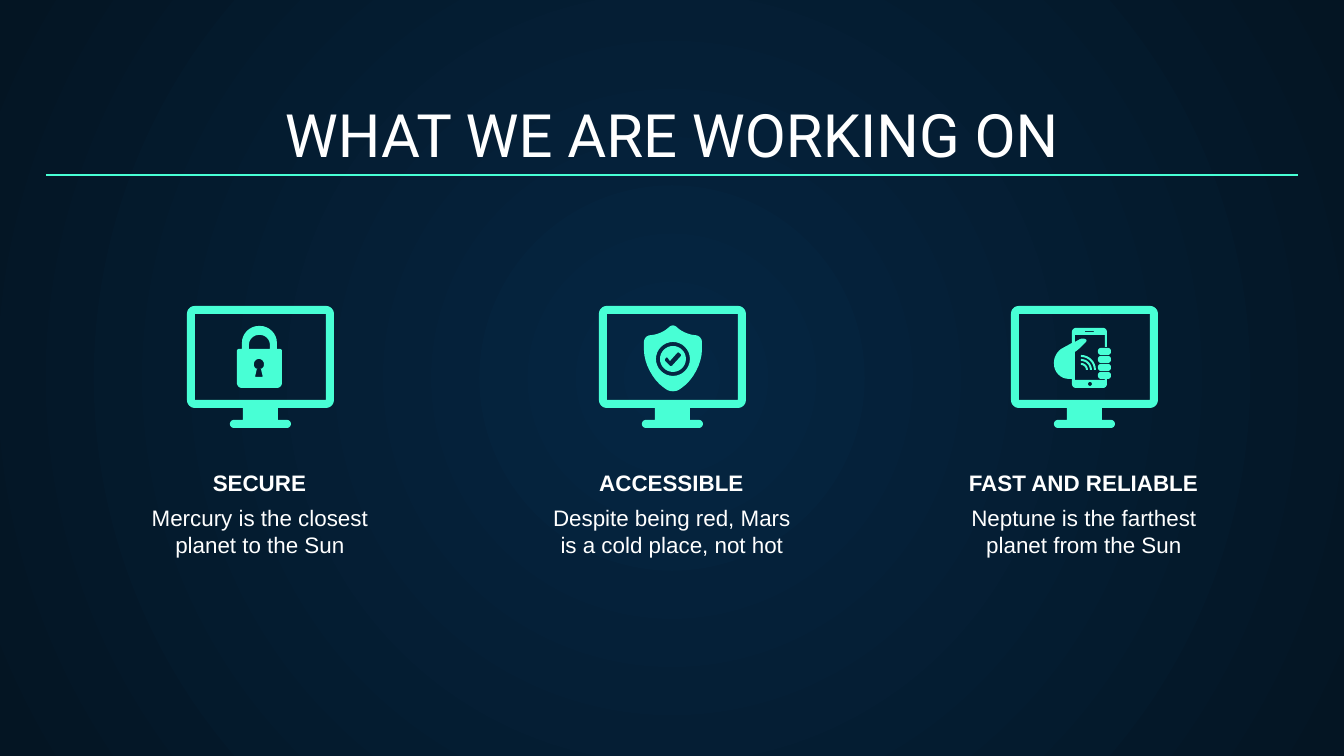
import math
from dataclasses import dataclass

from lxml import etree
from pptx import Presentation
from pptx.dml.color import RGBColor
from pptx.enum import shapes, text
from pptx.oxml.ns import qn

SCALE = 914400 * 10 / 1344  # EMU per px


@dataclass(frozen=True)
class Theme:
    glow: str = "052643"
    edge: str = "041523"
    accent: str = "48FFD5"
    ink: str = "FFFFFF"
    title_font: str = "Roboto"
    body_font: str = "Arial"
    title_size: int = 32
    body_size: int = 12
    rule_width: float = 0.75


THEME = Theme()


def emu(px):
    return round(px * SCALE)


def pt(points):
    return round(points * 12700)


# Outlines: each corner is (x, y, radius)
def rounded(corners):
    points = []
    for i, (x, y, radius) in enumerate(corners):
        if not radius:
            points.append((x, y))
            continue
        ends = []
        for nx, ny, _ in (corners[i - 1], corners[(i + 1) % len(corners)]):
            reach = radius / math.dist((x, y), (nx, ny))
            ends.append((x + (nx - x) * reach, y + (ny - y) * reach))
        (ax, ay), (bx, by) = ends
        for step in range(9):
            t = step / 8
            a = (1 - t) ** 3 + 3 * t * (1 - t) ** 2 * 0.45
            b = t ** 3 + 3 * t ** 2 * (1 - t) * 0.45
            c = 1 - a - b
            points.append((a * ax + b * bx + c * x, a * ay + b * by + c * y))
    return points


def block(x, y, w, h, radius=0):
    return [(x, y, radius), (x + w, y, radius), (x + w, y + h, radius), (x, y + h, radius)]


def disc(x, y, radius):
    return block(x - radius, y - radius, 2 * radius, 2 * radius, radius)


def wave(x, y, outer, inner):
    return [(x, y - outer, 0), (x + outer, y - outer, outer), (x + outer, y, 0),
            (x + inner, y, 0), (x + inner, y - inner, inner), (x, y - inner, 0)]


MONITOR = [
    [(0, 0, 8), (147, 0, 8), (147, 102, 8), (91, 102, 0), (91, 114, 0), (104, 114, 4),
     (104, 122, 4), (43, 122, 4), (43, 114, 4), (56, 114, 0), (56, 102, 0), (0, 102, 8)],
    block(8, 8, 131, 86),
]
PADLOCK = [
    [(50, 43, 2), (55, 43, 0), (55, 20, 17), (90, 20, 17), (90, 43, 0), (95, 43, 2),
     (95, 82, 5), (50, 82, 5)],
    [(62, 43, 0), (62, 29, 10), (83, 29, 10), (83, 43, 0)],
    [(67, 53, 5), (77, 53, 5), (77, 63, 4), (74, 63, 0), (76, 71, 1), (68, 71, 1),
     (70, 63, 0), (67, 63, 4)],
]
SHIELD = [
    [(74, 18, 4), (86, 28, 8), (103, 30, 6), (103, 68, 24), (74, 88, 8), (45, 68, 24),
     (45, 30, 6), (62, 28, 8)],
    disc(74, 53, 17),
]
CHECK_BADGE = [
    disc(74, 53, 13),
    [(65, 54, 2), (68, 51, 1), (71, 55, 0), (79, 46, 1), (83, 49, 2), (72, 61, 2)],
]
PHONE_IN_HAND = [
    # Frame with thumb and palm
    [(61, 22, 4), (96, 22, 4), (96, 41, 0), (94, 41, 0), (94, 29, 0), (64, 29, 0),
     (64, 36, 0), (71, 32, 3), (77, 34, 3), (68, 43, 2), (64, 46, 0), (64, 74, 0),
     (94, 74, 0), (94, 73, 0), (96, 73, 0), (96, 82, 4), (61, 82, 4), (61, 73, 0),
     (43, 73, 15), (43, 47, 9), (61, 37, 0)],
    block(74, 25, 9, 1),
    disc(79, 78, 2),
    *[block(87, 42 + 8 * i, 13, 7, 3) for i in range(4)],
    *[wave(70, 64, outer, outer - 2) for outer in (15, 11, 7)],
]

COLUMNS = [
    ("SECURE", "Mercury is the closest planet to the Sun", [PADLOCK]),
    ("ACCESSIBLE", "Despite being red, Mars is a cold place, not hot", [SHIELD, CHECK_BADGE]),
    ("FAST AND RELIABLE", "Neptune is the farthest planet from the Sun", [PHONE_IN_HAND]),
]


def add_icon(page, x, y, contours):
    builder = None
    for contour in contours:
        points = [(px * SCALE, py * SCALE) for px, py in rounded(contour)]
        if builder is None:
            builder = page.shapes.build_freeform(*points[0], scale=1.0)
        else:
            builder.move_to(*points[0])
        builder.add_line_segments(points[1:], close=True)
    icon = builder.convert_to_shape(emu(x), emu(y))
    icon.shadow.inherit = False
    icon.fill.solid()
    icon.fill.fore_color.rgb = RGBColor.from_string(THEME.accent)
    icon.line.fill.background()


def add_text(page, x, y, w, h, words, font, size, bold=False, anchor=text.MSO_ANCHOR.TOP):
    box = page.shapes.add_textbox(emu(x), emu(y), emu(w), emu(h))
    frame = box.text_frame
    frame.word_wrap = True
    frame.vertical_anchor = anchor
    frame.margin_left = frame.margin_right = 91440
    frame.margin_top = frame.margin_bottom = 91440
    para = frame.paragraphs[0]
    para.text = words
    para.alignment = text.PP_ALIGN.CENTER
    para.font.name = font
    para.font.size = pt(size)
    para.font.bold = bold
    para.font.color.rgb = RGBColor.from_string(THEME.ink)


def paint_background(page):
    fill = page.background.fill
    fill.gradient()
    for stop, colour in zip(fill.gradient_stops, (THEME.glow, THEME.edge)):
        stop.color.rgb = RGBColor.from_string(colour)
    # Radial gradient from the centre
    gradient = page._element.find(".//" + qn("a:gradFill"))
    gradient.remove(gradient.find(qn("a:lin")))
    radial = etree.SubElement(gradient, qn("a:path"), path="circle")
    etree.SubElement(radial, qn("a:fillToRect"), l="50000", t="50000", r="50000", b="50000")


def add_header(page, x, y, w, h):
    add_text(page, x, y, w, h, "WHAT WE ARE WORKING ON", THEME.title_font,
             THEME.title_size, anchor=text.MSO_ANCHOR.BOTTOM)
    rule_y = emu(y + 81)
    rule = page.shapes.add_connector(shapes.MSO_CONNECTOR.STRAIGHT,
                                     emu(x), rule_y, emu(x + w), rule_y)
    rule.line.color.rgb = RGBColor.from_string(THEME.accent)
    rule.line.width = pt(THEME.rule_width)
    etree.SubElement(rule._element.spPr, qn("a:effectLst"))


def add_column(page, x, y, w, heading, body, symbols):
    # Monitor with its symbol
    for contours in [MONITOR, *symbols]:
        add_icon(page, x + 80, y, contours)
    # Heading and description
    add_text(page, x, y + 175, w, 28, heading, THEME.body_font, THEME.body_size,
             bold=True, anchor=text.MSO_ANCHOR.BOTTOM)
    add_text(page, x + 14, y + 185, w - 27, 74, body, THEME.body_font, THEME.body_size)


def main():
    deck = Presentation()
    deck.slide_width, deck.slide_height = emu(1344), emu(756)
    page = deck.slides.add_slide(deck.slide_layouts[6])
    paint_background(page)
    add_header(page, 46, 94, 1252, 89)
    for i, column in enumerate(COLUMNS):
        add_column(page, 107 + 412 * i, 306, 305, *column)
    deck.save("out.pptx")


if __name__ == "__main__":
    main()
